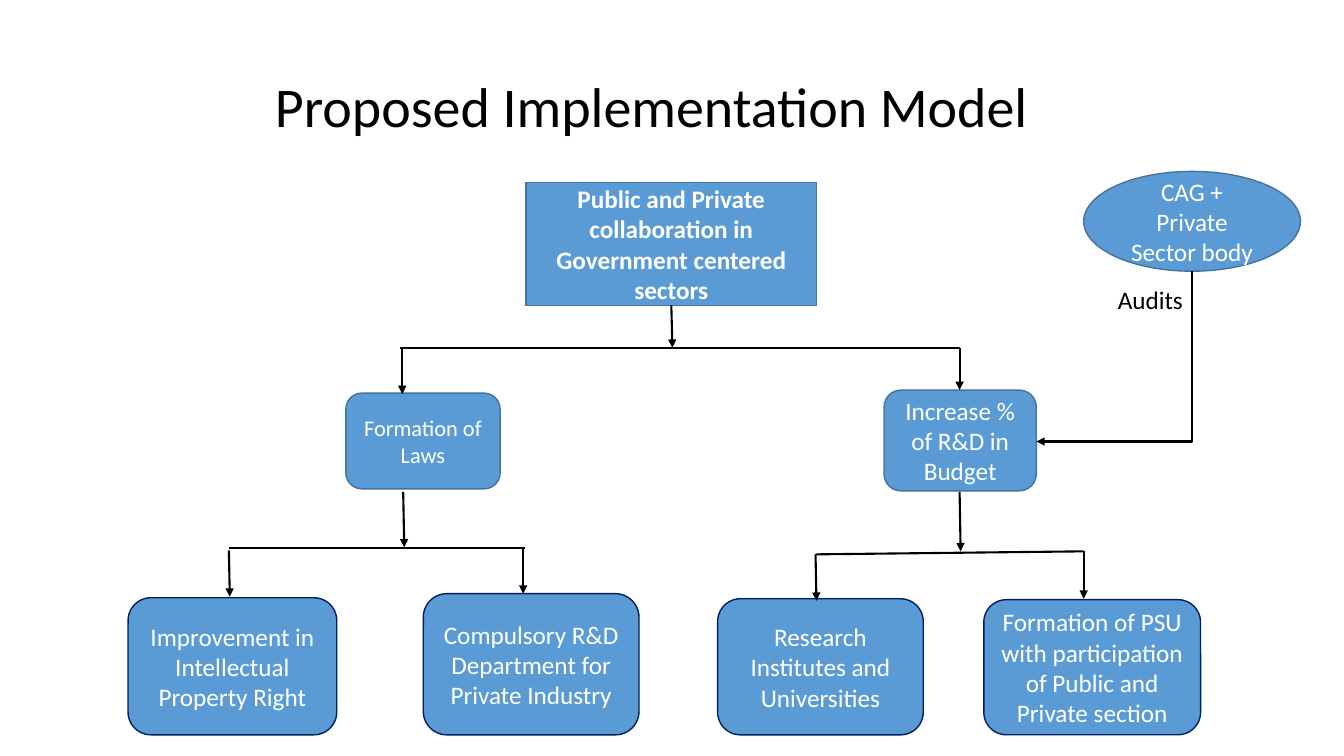
"""Build the proposed implementation model slide as a tree of boxes and arrows."""
from lxml.etree import SubElement
from pptx import Presentation
from pptx.dml.color import RGBColor
from pptx.enum.shapes import MSO_CONNECTOR as Conn, MSO_SHAPE as Shape
from pptx.enum.text import MSO_ANCHOR as Anchor, MSO_AUTO_SIZE as AutoSize, PP_ALIGN as Align
from pptx.oxml.ns import qn
from pptx.util import Inches, Pt

BLUE = RGBColor(0x5B, 0x9B, 0xD5)
STEEL = RGBColor(0x43, 0x73, 0x9E)
NAVY = RGBColor(0x00, 0x20, 0x60)
WHITE = RGBColor(0xFF, 0xFF, 0xFF)
BLACK = RGBColor(0x00, 0x00, 0x00)
FONT = "Calibri"
WIDTH, HEIGHT = Inches(13.33), Inches(7.5)

# All places are percentages of the slide's width and height.
TITLE = ("Proposed Implementation Model", (4.73, 8.8, 87.45, 10.27))
LABEL = ("Audits", (82.43, 36.93, 10.73, 5.33))
ALT = Shape.FLOWCHART_ALTERNATE_PROCESS
BOXES = [
    ("Public and Private collaboration in Government centered sectors",
     Shape.FLOWCHART_PROCESS, (39.15, 24.13, 21.6, 16.27), STEEL, 18, True),
    ("Formation of Laws", ALT, (25.73, 52, 11.48, 12.67), STEEL, 16, False),
    ("Increase % of R&D in Budget", ALT, (65.78, 51.6, 11.33, 13.33), STEEL, 18, False),
    ("Improvement in Intellectual Property Right",
     Shape.ROUNDED_RECTANGLE, (9.53, 79.07, 15.53, 18.13), NAVY, 18, False),
    ("Compulsory R&D Department for Private Industry",
     ALT, (31.5, 78.53, 16.05, 18.67), NAVY, 18, False),
    ("Research Institutes and Universities",
     Shape.ROUNDED_RECTANGLE, (53.4, 79.2, 15.3, 18), NAVY, 18, False),
    ("Formation of PSU with participation of Public and Private section",
     ALT, (73.2, 79.33, 16.13, 17.87), NAVY, 18, False),
    ("CAG + Private Sector body", Shape.OVAL, (80.63, 22.67, 16.13, 13.2), STEEL, 18, False),
]
FORKS = [
    {"stem": (49.95, 40.4, 50.03, 46), "bar": (29.78, 46, 71.4, 46),
     "drops": [(29.93, 46, 29.93, 52.13), (71.4, 46, 71.4, 51.6)]},
    {"stem": (30, 65.07, 30.08, 72.4), "bar": (17.03, 72.53, 39.08, 72.53),
     "drops": [(17.03, 72.8, 17.1, 78.93), (38.93, 72.4, 38.93, 78.53)]},
    {"stem": (71.4, 65.07, 71.48, 72.93), "bar": (60.68, 73.33, 80.63, 72.93),
     "drops": [(60.68, 73.33, 60.75, 79.47), (80.63, 72.93, 80.63, 79.2)]},
]
AUDIT_PATH = (88.67, 35.87, 77.11, 58.4)


def scale(place):
    return [int(v * side / 100) for v, side in zip(place, (WIDTH, HEIGHT) * 2)]


def write(sp, text, size, color, align=Align.CENTER, anchor=Anchor.MIDDLE, bold=False):
    tf = sp.text_frame
    tf.word_wrap = True
    tf.auto_size = AutoSize.NONE
    tf.vertical_anchor = anchor
    p = tf.paragraphs[0]
    p.alignment = align
    r = p.add_run()
    r.text = text
    r.font.name, r.font.size, r.font.bold = FONT, Pt(size), bold
    r.font.color.rgb = color


def add_box(s, text, kind, place, edge, size, bold):
    sp = s.shapes.add_shape(kind, *scale(place))
    sp.shadow.inherit = False
    sp.fill.solid()
    sp.fill.fore_color.rgb = BLUE
    sp.line.color.rgb = edge
    sp.line.width = Pt(1)
    write(sp, text, size, WHITE, bold=bold)


def add_line(s, ends, arrow=True, kind=Conn.STRAIGHT):
    c = s.shapes.add_connector(kind, *ends)
    c.line.color.rgb = BLACK
    c.line.width = Pt(1.5)
    pr = c.element.spPr
    if arrow:
        SubElement(pr.find(qn("a:ln")), qn("a:tailEnd"), type="triangle")
    SubElement(pr, qn("a:effectLst"))
    return pr


def add_corner_arrow(s, place):
    x0, y0, x1, y1 = scale(place)
    mid_x, mid_y = (x0 + x1) // 2, (y0 + y1) // 2
    half_w, half_h = (y1 - y0) // 2, (x0 - x1) // 2
    ends = (mid_x - half_w, mid_y - half_h, mid_x + half_w, mid_y + half_h)
    pr = add_line(s, ends, kind=Conn.ELBOW)
    pr.find(qn("a:prstGeom")).set("prst", "bentConnector2")
    pr.find(qn("a:xfrm")).set("rot", str(90 * 60000))


def main():
    prs = Presentation()
    prs.slide_width, prs.slide_height = WIDTH, HEIGHT
    s = prs.slides.add_slide(prs.slide_layouts[5])

    title = s.shapes.title
    text, place = TITLE
    title.left, title.top, title.width, title.height = scale(place)
    write(title, text, 40, BLACK, anchor=Anchor.TOP)

    for box in BOXES:
        add_box(s, *box)
    for fork in FORKS:
        add_line(s, scale(fork["bar"]), arrow=False)
        for ends in [fork["stem"], *fork["drops"]]:
            add_line(s, scale(ends))
    add_corner_arrow(s, AUDIT_PATH)

    text, place = LABEL
    label = s.shapes.add_textbox(*scale(place))
    write(label, text, 18, BLACK, Align.LEFT, Anchor.TOP)
    prs.save("out.pptx")


if __name__ == "__main__":
    main()
